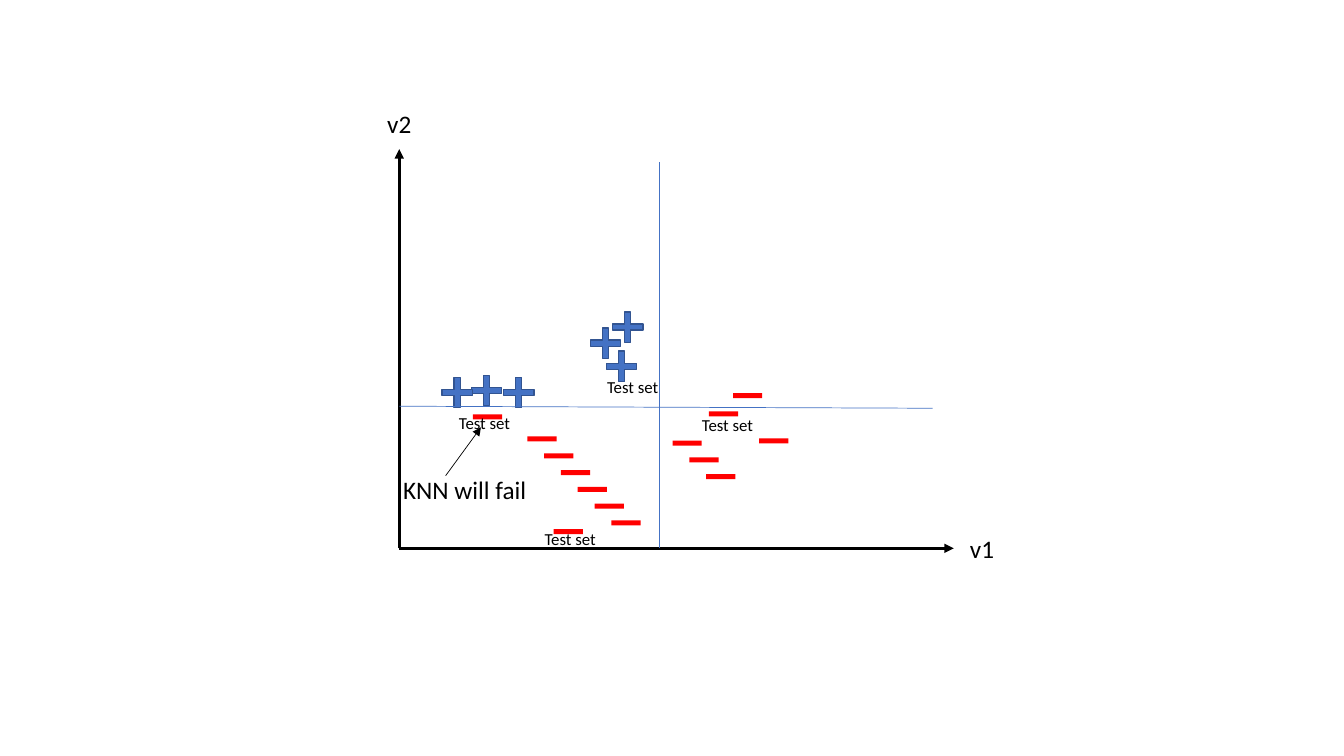
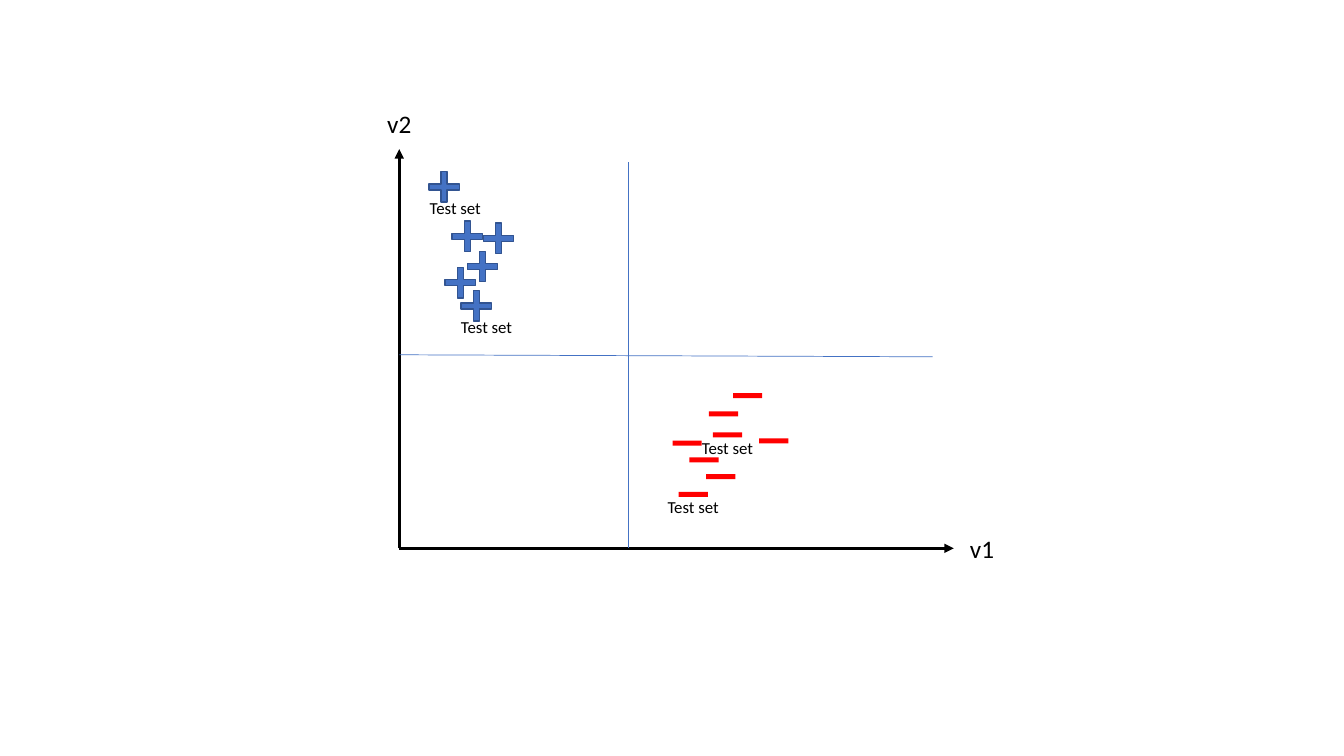
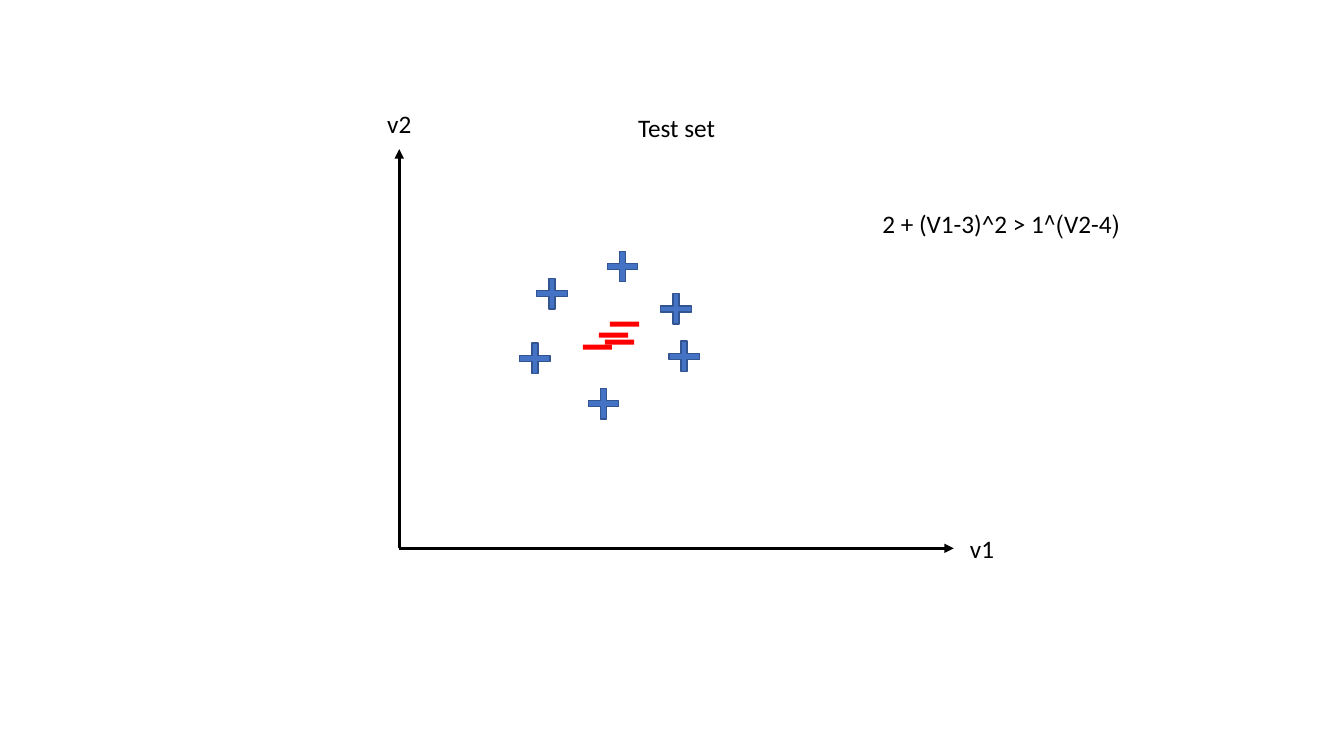
from dataclasses import dataclass

from lxml import etree
from pptx import Presentation
from pptx.dml.color import RGBColor
from pptx.enum.shapes import MSO_CONNECTOR, MSO_SHAPE
from pptx.enum.text import MSO_ANCHOR, PP_ALIGN
from pptx.oxml.ns import qn
from pptx.shapes.autoshape import Shape
from pptx.slide import Slide
from pptx.util import Inches, Pt

PLUS, BAR = MSO_SHAPE.MATH_PLUS, MSO_SHAPE.RECTANGLE
STRAIGHT = MSO_CONNECTOR.STRAIGHT
MIDDLE, CENTER = MSO_ANCHOR.MIDDLE, PP_ALIGN.CENTER

FONT = "Calibri"
BLACK, BLUE, DARK_BLUE, RED = "000000", "4472C4", "325491", "FF0000"
BLANK_LAYOUT = 6
PLUS_SIZE, PLUS_ARM = 0.41, 0.146
BAR_WIDTH, BAR_HEIGHT = 0.29, 0.05
ORIGIN_X, ORIGIN_Y = 3.96, 5.44
DIAGONAL_STEP = 1 / 6

Point = tuple[float, float]


@dataclass(frozen=True)
class Label:
    """A caption; the defaults are those of a small test set mark."""
    left: float
    top: float
    text: str = "Test set"
    width: float = 0.85
    height: float = 0.48
    size: float = 12


@dataclass(frozen=True)
class Line:
    """A straight line, with an arrowhead at its end if wanted."""
    start: Point
    end: Point
    width: float = 0.5
    color: str = BLACK
    arrow: bool = True


@dataclass(frozen=True)
class Plot:
    """One scatter plot: its two classes, lines and captions."""
    positives: list[Point]
    negatives: list[Point]
    lines: list[Line]
    labels: list[Label]


def rgb(color: str) -> RGBColor:
    """Turn a hex string into a colour."""
    return RGBColor.from_string(color)


def diagonal(left: float, top: float, count: int) -> list[Point]:
    """Give points that step evenly down to the right."""
    return [(left + i * DIAGONAL_STEP, top + i * DIAGONAL_STEP) for i in range(count)]


def dividers(x: float, y: float) -> list[Line]:
    """Give the lines that split the plot into quadrants."""
    return [Line((x, 1.61), (x, ORIGIN_Y), color=BLUE, arrow=False),
            Line((9.25, y + 0.02), (ORIGIN_X, y), color=BLUE, arrow=False)]


def add_text(slide: Slide, text: str, *, left: float, top: float, width: float,
             height: float, size: float, color: str = BLACK) -> None:
    """Add a centred right-to-left text box."""
    box = slide.shapes.add_textbox(Inches(left), Inches(top), Inches(width), Inches(height))
    frame = box.text_frame
    frame.word_wrap = True
    frame.vertical_anchor = MIDDLE
    paragraph = frame.paragraphs[0]
    paragraph.alignment = CENTER
    paragraph._p.get_or_add_pPr().set("rtl", "1")
    run = paragraph.add_run()
    run.text = text
    run.font.name, run.font.size = FONT, Pt(size)
    run.font.color.rgb = rgb(color)


def add_label(slide: Slide, label: Label) -> None:
    """Draw a caption."""
    add_text(slide, label.text, left=label.left, top=label.top,
             width=label.width, height=label.height, size=label.size)


def add_line(slide: Slide, line: Line) -> None:
    """Draw a line without a shadow."""
    connector = slide.shapes.add_connector(
        STRAIGHT, *(Inches(value) for value in (*line.start, *line.end)))
    connector.line.width = Pt(line.width)
    connector.line.color.rgb = rgb(line.color)
    if line.arrow:
        outline = connector.line._get_or_add_ln()
        etree.SubElement(outline, qn("a:tailEnd"), type="triangle")
    etree.SubElement(connector._element.spPr, qn("a:effectLst"))


def add_marker(slide: Slide, kind: MSO_SHAPE, at: Point, width: float,
               height: float, fill: str) -> Shape:
    """Draw a filled marker without a shadow."""
    marker = slide.shapes.add_shape(
        kind, Inches(at[0]), Inches(at[1]), Inches(width), Inches(height))
    marker.shadow.inherit = False
    marker.fill.solid()
    marker.fill.fore_color.rgb = rgb(fill)
    return marker


def add_positive(slide: Slide, at: Point) -> None:
    """Draw a blue plus."""
    plus = add_marker(slide, PLUS, at, PLUS_SIZE, PLUS_SIZE, BLUE)
    plus.adjustments[0] = PLUS_ARM
    plus.line.color.rgb = rgb(DARK_BLUE)
    plus.line.width = Pt(1)


def add_negative(slide: Slide, at: Point) -> None:
    """Draw a red minus."""
    add_marker(slide, BAR, at, BAR_WIDTH, BAR_HEIGHT, RED).line.fill.background()


def add_plot(slide: Slide, plot: Plot) -> None:
    """Draw the shared axes, then the content of one plot."""
    for line in AXES:
        add_line(slide, line)
    for label in AXIS_LABELS:
        add_label(slide, label)
    for at in plot.positives:
        add_positive(slide, at)
    for at in plot.negatives:
        add_negative(slide, at)
    for line in plot.lines:
        add_line(slide, line)
    for label in plot.labels:
        add_label(slide, label)


AXES = [Line((ORIGIN_X, ORIGIN_Y), end, 2.25) for end in ((ORIGIN_X, 1.48), (9.46, ORIGIN_Y))]
AXIS_LABELS = [Label(9.28, 5.18, "v1", 0.92, 0.52, 18),
               Label(3.5, 0.96, "v2", 0.92, 0.52, 18)]
RIGHT_CLUSTER = [*diagonal(6.67, 4.37, 3), (7.03, 4.08), (7.27, 3.9), (7.53, 4.35)]

PLOTS = [
    Plot(
        positives=[(5.8, 3.2), (4.62, 3.67), (5.96, 3.43), (6.02, 3.04),
                   (4.94, 3.69), (4.33, 3.69)],
        negatives=[*diagonal(5.23, 4.33, 6), (5.49, 5.25), (4.69, 4.11), *RIGHT_CLUSTER],
        lines=[*dividers(6.54, 4.03), Line((4.42, 4.72), (4.77, 4.24))],
        labels=[Label(3.69, 4.6, "KNN will fail", 1.84, 0.52, 18),
                Label(4.38, 3.95), Label(5.23, 5.11), Label(6.79, 3.97), Label(5.85, 3.6)],
    ),
    Plot(
        positives=[(4.36, 2.6), (4.43, 2.14), (4.52, 2.83), (4.58, 2.44),
                   (4.74, 2.16), (4.2, 1.65)],
        negatives=[*RIGHT_CLUSTER, (7.07, 4.29), (6.73, 4.88)],
        lines=dividers(6.23, 3.52),
        labels=[Label(6.79, 4.2), Label(4.4, 3), Label(6.45, 4.79), Label(4.09, 1.82)],
    ),
    Plot(
        positives=[(5.27, 2.71), (5.1, 3.35), (5.78, 3.8), (6.5, 2.86),
                   (5.97, 2.44), (6.58, 3.33)],
        negatives=[(5.78, 3.42), (5.94, 3.3), (6.05, 3.19), (6, 3.37)],
        lines=[],
        labels=[Label(5.79, 1, width=1.84, height=0.52, size=18),
                Label(7.61, 1.96, "(V2-4)^2 + (V1-3)^2 > 1", 4.64, 0.52, 18)],
    ),
]


def main() -> None:
    """Build and save the presentation."""
    deck = Presentation()
    deck.slide_width, deck.slide_height = Inches(13.33), Inches(7.5)
    for plot in PLOTS:
        add_plot(deck.slides.add_slide(deck.slide_layouts[BLANK_LAYOUT]), plot)
    deck.save("out.pptx")


main()
